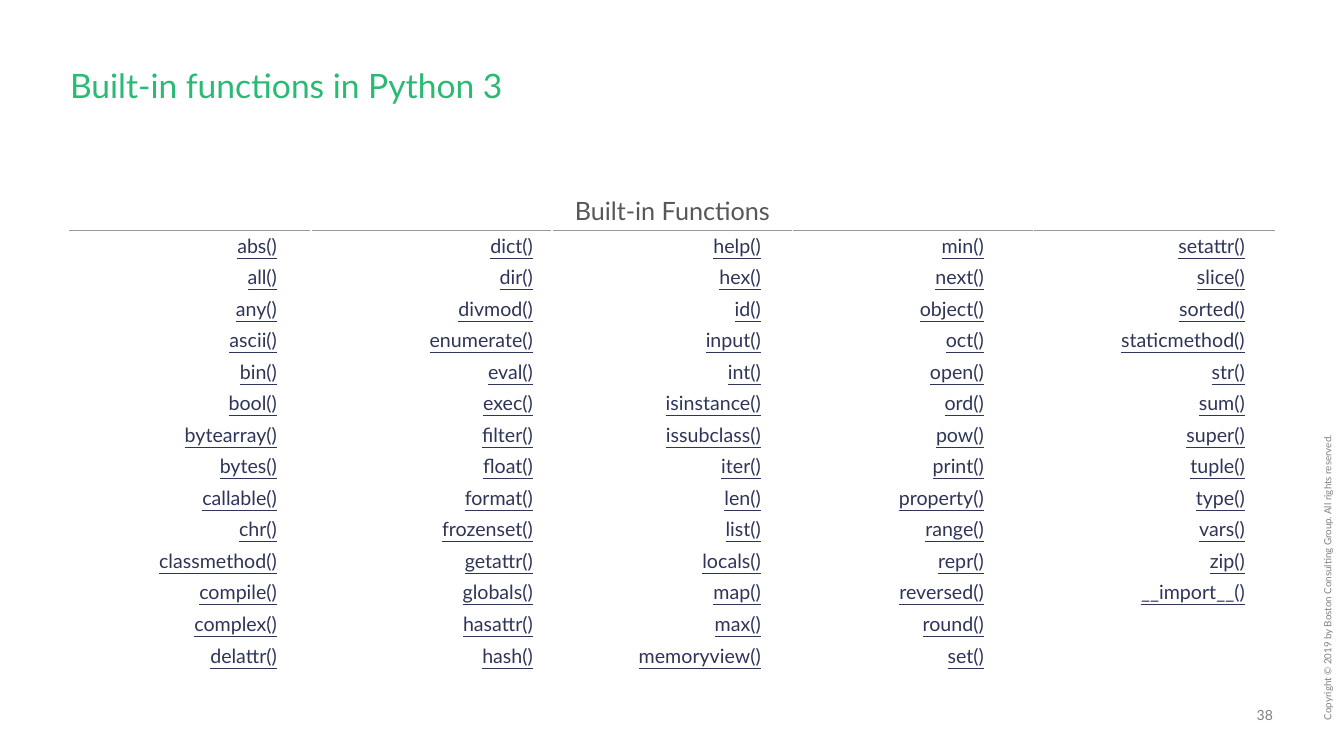
import lxml.etree
import pptx
import pptx.dml.color
import pptx.enum.text
import pptx.oxml.ns
import pptx.util

EMU_PER_PX = 914400 / 100.8
FONT = "Lato"
GREEN, GREY, DARK_GREY, NAVY, RULE = "29BA74", "808080", "575757", "2E3558", "9A9A9A"
ALIGN = pptx.enum.text.PP_ALIGN
ANCHOR = pptx.enum.text.MSO_ANCHOR

HEADER_HEIGHT = 39
BODY_HEIGHT = 441
BODY_SIZE = 14
RIGHT_MARGINS = [34, 19, 32, 50, 30]
FUNCTION_COLUMNS = [
    "abs all any ascii bin bool bytearray bytes callable chr classmethod compile complex delattr",
    "dict dir divmod enumerate eval exec filter float format frozenset getattr globals hasattr hash",
    "help hex id input int isinstance issubclass iter len list locals map max memoryview",
    "min next object oct open ord pow print property range repr reversed round set",
    "setattr slice sorted staticmethod str sum super tuple type vars zip __import__",
]


def px(length):
    return pptx.util.Emu(round(length * EMU_PER_PX))


def color(hex_value):
    return pptx.dml.color.RGBColor.from_string(hex_value)


def set_attributes(target, values):
    for name, value in values.items():
        setattr(target, name, value)


def set_margins(target, left=0, top=0, right=0, bottom=0):
    set_attributes(target, {
        "margin_left": px(left), "margin_top": px(top),
        "margin_right": px(right), "margin_bottom": px(bottom),
    })


def write(text_frame, text, size, hex_value, paragraph_format, underline=False):
    paragraph = text_frame.paragraphs[0]
    set_attributes(paragraph, paragraph_format)
    run = paragraph.add_run()
    run.text = text
    set_attributes(run.font, {"name": FONT, "size": pptx.util.Pt(size), "underline": underline})
    run.font.color.rgb = color(hex_value)


def place(shape, left, top, width, height):
    set_attributes(shape, {
        "left": px(left), "top": px(top), "width": px(width), "height": px(height),
    })


def format_frame(shape, anchor=ANCHOR.TOP):
    frame = shape.text_frame
    set_margins(frame)
    set_attributes(frame, {
        "word_wrap": True, "vertical_anchor": anchor,
        "auto_size": pptx.enum.text.MSO_AUTO_SIZE.NONE,
    })
    return frame


def add_title(slide, text):
    title = slide.shapes.title
    place(title, 70, 69, 1206, 36)
    write(format_frame(title), text, 24, GREEN, {"alignment": ALIGN.LEFT, "line_spacing": 0.9})


def add_label(slide, box, text, size, paragraph_format, anchor=ANCHOR.TOP, rotation=0):
    label = slide.shapes.add_textbox(*map(px, box))
    label.rotation = rotation
    write(format_frame(label, anchor), text, size, GREY, paragraph_format)


def add_border(cell, side):
    """Draw the header rule on one side of a cell: 'T' or 'B'."""
    line = lxml.etree.Element(pptx.oxml.ns.qn(f"a:ln{side}"), w=str(pptx.util.Pt(0.75)))
    fill = lxml.etree.SubElement(line, pptx.oxml.ns.qn("a:solidFill"))
    lxml.etree.SubElement(fill, pptx.oxml.ns.qn("a:srgbClr"), val=RULE)
    # Borders must come before the fill in the cell properties
    cell._tc.get_or_add_tcPr().insert(0, line)


def add_function_table(slide, heading, columns):
    row_count = max(map(len, columns))
    table = slide.shapes.add_table(
        row_count + 1, len(columns), px(70), px(191), px(1205), px(HEADER_HEIGHT + BODY_HEIGHT)
    ).table
    set_attributes(table, {"first_row": False, "horz_banding": False})
    for row_index, row in enumerate(table.rows):
        row.height = px(BODY_HEIGHT / row_count if row_index else HEADER_HEIGHT)
    for cell in table.iter_cells():
        cell.fill.background()

    header = table.cell(0, 0)
    header.merge(table.cell(0, len(columns) - 1))
    header.vertical_anchor = ANCHOR.BOTTOM
    set_margins(header, 8, 4, 8, 4)
    write(header.text_frame, heading, 18, DARK_GREY, {"alignment": ALIGN.CENTER})

    for column_index, (names, right) in enumerate(zip(columns, RIGHT_MARGINS)):
        add_border(table.cell(0, column_index), "B")
        add_border(table.cell(1, column_index), "T")
        for row_index in range(row_count):
            cell = table.cell(row_index + 1, column_index)
            set_margins(cell, 0, 4, right, 4)
            if row_index < len(names):
                write(cell.text_frame, f"{names[row_index]}()", BODY_SIZE, NAVY,
                      {"alignment": ALIGN.RIGHT}, underline=True)
            else:
                # Keeps an empty cell from stretching its row
                end = cell.text_frame.paragraphs[0]._p.get_or_add_endParaRPr()
                end.set("sz", str(BODY_SIZE * 100))


def main():
    presentation = pptx.Presentation()
    set_attributes(presentation, {"slide_width": px(1344), "slide_height": px(756)})
    slide = presentation.slides.add_slide(presentation.slide_layouts.get_by_name("Title Only"))
    add_label(slide, (1231, 706, 42, 17), "38", 10, {"alignment": ALIGN.RIGHT}, ANCHOR.BOTTOM)
    add_label(slide, (1046, 432, 565, 11),
              "Copyright © 2019 by Boston Consulting Group. All rights reserved.", 7,
              {"line_spacing": 0.9, "space_after": pptx.util.Pt(6)}, rotation=270)
    add_title(slide, "Built-in functions in Python 3")
    add_function_table(slide, "Built-in Functions", [names.split() for names in FUNCTION_COLUMNS])
    presentation.save("out.pptx")


if __name__ == "__main__":
    main()
